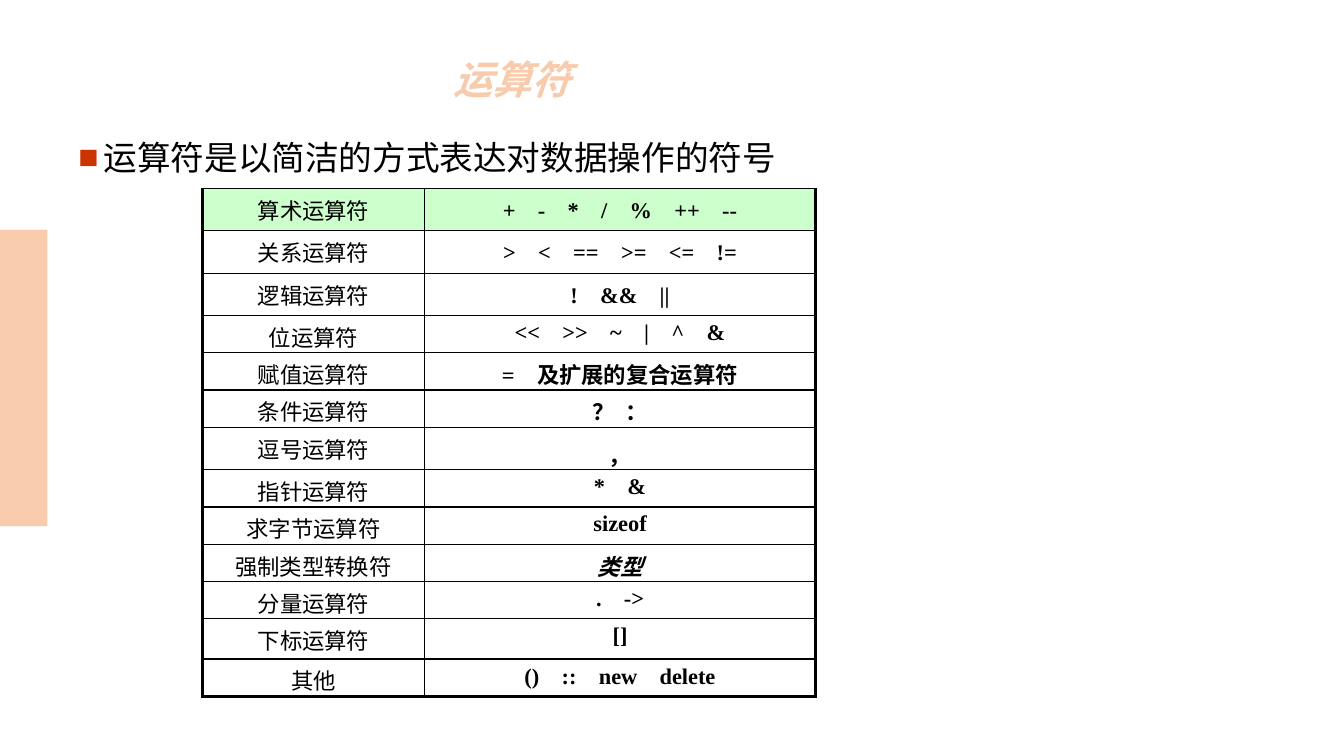
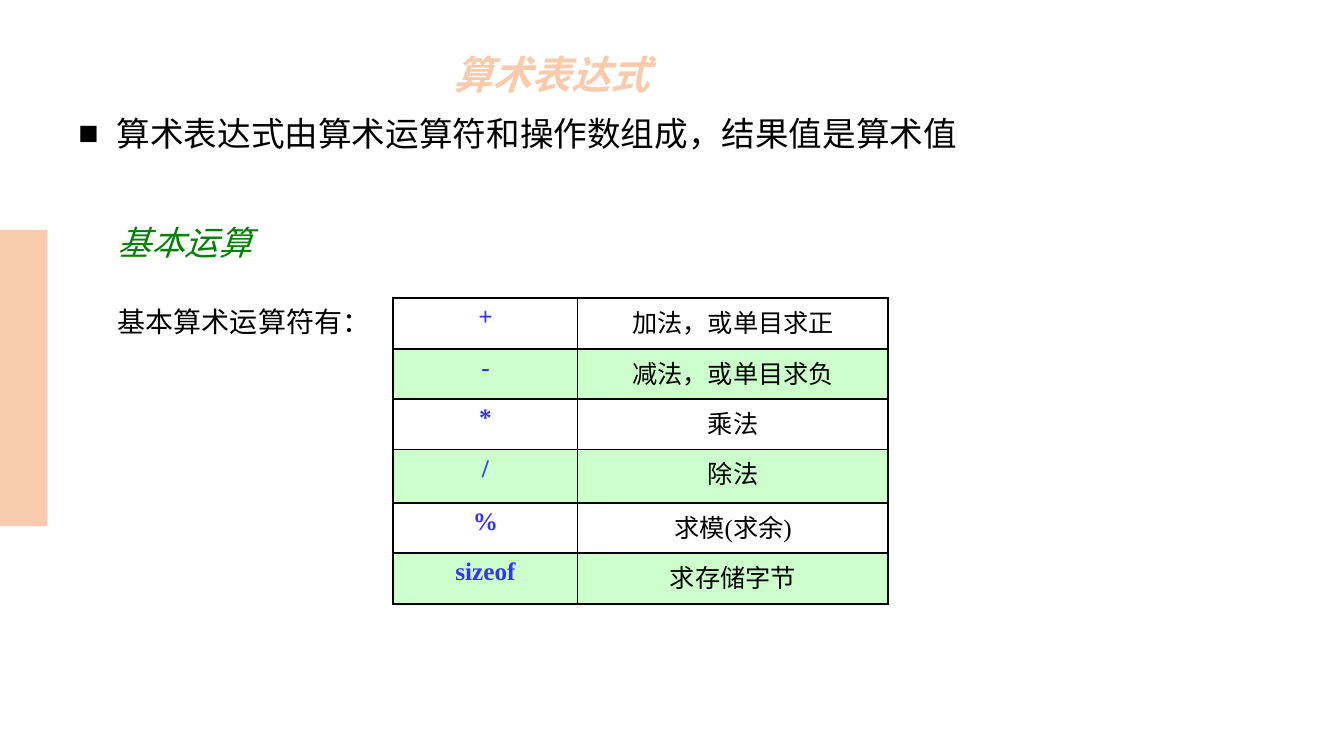
from pptx import Presentation
from pptx.dml.color import RGBColor
from pptx.enum.shapes import MSO_SHAPE
from pptx.enum.text import MSO_ANCHOR, PP_ALIGN
from pptx.oxml import parse_xml
from pptx.oxml.ns import nsdecls
from pptx.util import Inches, Pt

PEACH = RGBColor(0xF8, 0xCB, 0xAD)
ORANGE = RGBColor(0xED, 0x7D, 0x31)
RED = RGBColor(0xCC, 0x33, 0x00)
GREEN = RGBColor(0x00, 0x80, 0x00)
MINT = RGBColor(0xCC, 0xFF, 0xCC)
BLUE = RGBColor(0x33, 0x33, 0xFF)
BLACK = RGBColor(0, 0, 0)
WHITE = RGBColor(0xFF, 0xFF, 0xFF)

SANS = "Noto Sans CJK SC"
SERIF = "Times New Roman"
EM, EN = "\u2003", "\u2002"

# Each row: label, operators, whether the operator line is widened
KINDS = [
    ("算术运算符", EM.join(["+", "-", "*", "/", "%", "++", "--"]), True),
    ("关系运算符", EM.join([">", "<", "==", ">=", "<=", "!="]), True),
    ("逻辑运算符", EM.join(["!", "&&", "||"]), True),
    ("位运算符", EM.join(["<<", ">>", "~", "|", "^", "&"]), False),
    ("赋值运算符", EM.join(["=", "及扩展的复合运算符"]), False),
    ("条件运算符", EN.join(["？", "："]), False),
    ("逗号运算符", "，", True),
    ("指针运算符", EM.join(["*", "&"]), False),
    ("求字节运算符", "sizeof", False),
    ("强制类型转换符", "类型", False),
    ("分量运算符", EM.join([".", "->"]), False),
    ("下标运算符", "[]", False),
    ("其他", EM.join(["()", "::", "new", "delete"]), False),
]
KIND_ROWS = [0.42] * 3 + [0.37] * 3 + [0.42] + [0.37] * 4 + [0.4, 0.37]

BASICS = [
    ("+", "加法，或单目求正"),
    ("-", "减法，或单目求负"),
    ("*", "乘法"),
    ("/", "除法"),
    ("%", "求模(求余)"),
    ("sizeof", "求存储字节"),
]
BASIC_ROWS = [0.5] * 3 + [0.53] + [0.5] * 2

TITLE = dict(size=Pt(28), name=SANS, bold=True, italic=True, color=PEACH)
LEAD = dict(size=Pt(24), name=SANS, color=BLACK)
POINT = dict(size=Pt(24), name=SERIF, color=BLACK)
HEAD = dict(size=Pt(24), name=SANS, italic=True, color=GREEN)
NOTE = dict(size=Pt(20), name=SERIF, color=BLACK)
LABEL = dict(size=Pt(16), name=SERIF, bold=False, color=BLACK)
CODE = dict(LABEL, bold=True)
SIGN = dict(size=Pt(18), name=SERIF, bold=True, color=BLUE)
SENSE = dict(SIGN, bold=False, color=BLACK)


def node(text):
    """Make an element in the drawing namespace."""
    tag, rest = text.split(None, 1)
    return parse_xml(f"<a:{tag} {nsdecls('a')} {rest}")


def write(par, text, style):
    """Add one styled run to a paragraph."""
    run = par.add_run()
    run.text = text
    for key, val in style.items():
        if key == "color":
            run.font.color.rgb = val
        else:
            setattr(run.font, key, val)
    run.font._element.append(node(f'ea typeface="{SANS}"/>'))
    return run


def add_text(slide, box, text, style, wrap=True, **form):
    """Place a text box and return its frame, paragraph and run."""
    frame = slide.shapes.add_textbox(*map(Inches, box)).text_frame
    frame.word_wrap = wrap
    par = frame.paragraphs[0]
    for key, val in form.items():
        setattr(par, key, val)
    return frame, par, write(par, text, style)


def add_mark(par, gap, color):
    """Give a paragraph a square bullet and a hanging indent."""
    props = par._p.get_or_add_pPr()
    props.set("marL", str(Inches(gap)))
    props.set("indent", str(-Inches(gap)))
    for text in (f'buClr ><a:srgbClr val="{color}"/></a:buClr>',
                 f'buFont typeface="{SERIF}"/>', 'buChar char="■"/>'):
        props.append(node(text))


def add_page(deck, title, top):
    """Add a slide with the side band and the outlined title."""
    slide = deck.slides.add_slide(deck.slide_layouts[6])
    band = slide.shapes.add_shape(
        MSO_SHAPE.RECTANGLE, *map(Inches, (0, 2.28, 0.47, 2.94)))
    band.shadow.inherit = False
    band.fill.solid()
    band.fill.fore_color.rgb = PEACH
    band.line.fill.background()
    frame, _, run = add_text(slide, (4.4, top, 8.25, 0.83), title, TITLE,
                             line_spacing=0.9)
    frame.vertical_anchor = MSO_ANCHOR.MIDDLE
    run.font._element.insert(0, node(
        f'ln w="{Pt(1.75)}"><a:solidFill><a:srgbClr val="{ORANGE}"/>'
        '</a:solidFill></a:ln>'))
    return slide


def add_grid(slide, spot, cols, rows):
    """Add a plain table with the given column and row sizes."""
    size = (sum(cols), sum(rows))
    grid = slide.shapes.add_table(
        len(rows), len(cols), *map(Inches, spot + size)).table
    grid.first_row = grid.horz_banding = False
    for parts, name, sizes in ((grid.columns, "width", cols),
                               (grid.rows, "height", rows)):
        for part, val in zip(parts, sizes):
            setattr(part, name, Inches(val))
    return grid


def fill_cell(cell, text, style, fill, edges, wide=False):
    """Write a centred cell; edges are left, right, top and bottom widths."""
    par = cell.text_frame.paragraphs[0]
    par.alignment = PP_ALIGN.CENTER
    if wide:
        par.line_spacing = 1.2
    else:
        par._p.get_or_add_pPr().append(
            node('spcBef ><a:spcPct val="20000"/></a:spcBef>'))
    write(par, text, style)
    props = cell._tc.get_or_add_tcPr()
    for side, width in zip("LRTB", edges):
        props.append(node(
            f'ln{side} w="{Pt(width)}"><a:solidFill><a:srgbClr val="{BLACK}"/>'
            f'</a:solidFill></a:ln{side}>'))
    cell.fill.solid()
    cell.fill.fore_color.rgb = fill


def add_kinds(deck):
    """Build the overview of operator kinds."""
    slide = add_page(deck, "运算符", 0.4)
    _, par, _ = add_text(slide, (0.68, 0.91, 8, 0.92),
                         "运算符是以简洁的方式表达对数据操作的符号", LEAD,
                         line_spacing=2.0, space_before=Pt(10))
    add_mark(par, 0.25, RED)
    grid = add_grid(slide, (2.01, 1.87), (2.2, 3.88), KIND_ROWS)
    for row, (label, code, wide) in enumerate(KINDS):
        fill = MINT if row == 0 else WHITE
        base = 2.25 if row == len(KINDS) - 1 else 1
        style = dict(CODE, italic=code == "类型")
        fill_cell(grid.cell(row, 0), label, LABEL, fill, (2.25, 1, 1, base))
        fill_cell(grid.cell(row, 1), code, style, fill, (1, 2.25, 1, base), wide)


def add_basics(deck):
    """Build the slide on arithmetic expressions."""
    slide = add_page(deck, "算术表达式", 0.35)
    _, par, _ = add_text(slide, (0.68, 1.07, 9, 0.84),
                         "算术表达式由算术运算符和操作数组成，结果值是算术值",
                         POINT, wrap=False)
    add_mark(par, 0.38, BLACK)
    grid = add_grid(slide, (3.9, 2.96), (1.83, 3.08), BASIC_ROWS)
    for row, (sign, sense) in enumerate(BASICS):
        fill = MINT if row % 2 else WHITE
        fill_cell(grid.cell(row, 0), sign, SIGN, fill, (1.5, 1, 1.5, 1.5))
        fill_cell(grid.cell(row, 1), sense, SENSE, fill, (1, 1.5, 1.5, 1.5))
    add_text(slide, (1.07, 2.97, 2.73, 0.44), "基本算术运算符有：", NOTE,
             wrap=False)
    add_text(slide, (1.07, 1.83, 8.67, 0.74), "基本运算", HEAD,
             line_spacing=1.8)


deck = Presentation()
deck.slide_width, deck.slide_height = Inches(13.33), Inches(7.5)
add_kinds(deck)
add_basics(deck)
deck.save("out.pptx")
